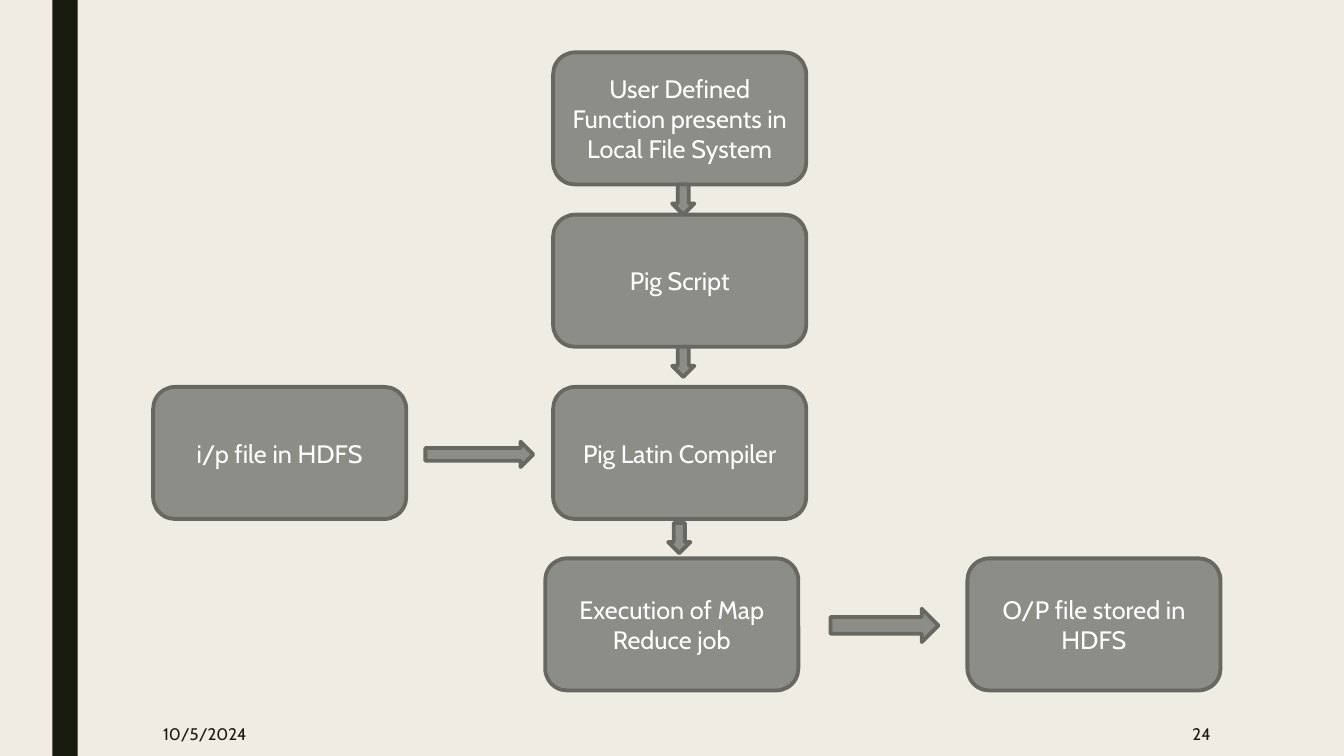
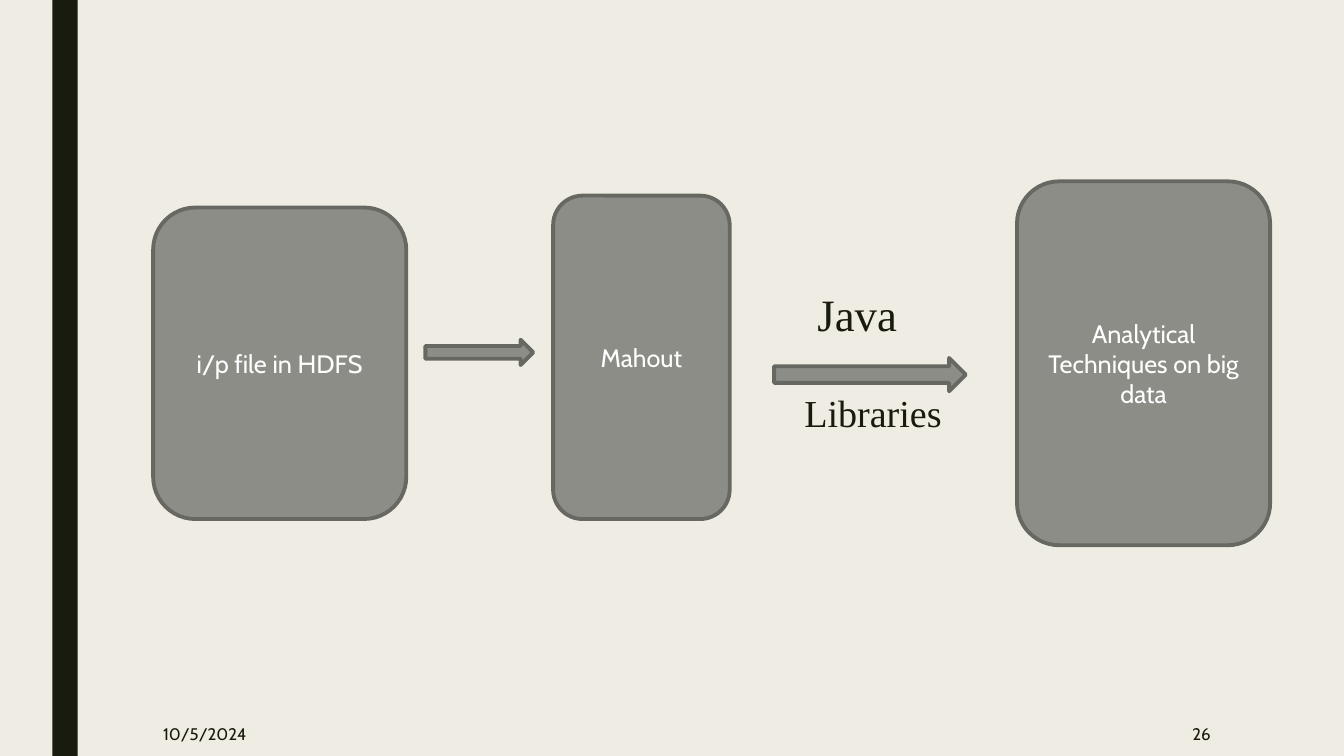
import pptx
import pptx.util
import pptx.dml.color
import pptx.enum.shapes
import pptx.enum.text

Cm = pptx.util.Cm
Pt = pptx.util.Pt
SHAPE = pptx.enum.shapes.MSO_SHAPE
ALIGN = pptx.enum.text.PP_ALIGN
ANCHOR = pptx.enum.text.MSO_ANCHOR

COLORS = {
    "paper": "EFEDE3",
    "ink": "191B0E",
    "box": "8C8D86",
    "edge": "686863",
    "label": "FFFFFF",
}
BODY_FONT = "Cabin"
ACCENT_FONT = "Times New Roman"

INPUT_X, ENGINE_X, EXECUTION_X, OUTPUT_X = 3.86, 13.94, 13.74, 24.38
BOX_W, BOX_H = 6.38, 3.33
UDF_Y, SCRIPT_Y, COMPILER_Y, EXECUTION_Y = 1.32, 5.41, 9.75, 14.07
INPUT_ARROW_X, INPUT_ARROW_W, INPUT_ARROW_H = 10.72, 2.72, 0.64
OUTPUT_ARROW_H = 0.84
DOWN_W, DOWN_H = 0.56, 0.76
FOOTER_Y, FOOTER_H = 17.93, 1.12


def color(name):
    return pptx.dml.color.RGBColor.from_string(COLORS[name])


def apply_format(target, values):
    for name, value in values.items():
        setattr(target, name, value)


def write(frame, text, size, ink, font=BODY_FONT, align=ALIGN.LEFT,
          anchor=ANCHOR.MIDDLE, spacing=1.0):
    apply_format(frame, {"word_wrap": True, "vertical_anchor": anchor})
    paragraph = frame.paragraphs[0]
    apply_format(paragraph, {"alignment": align, "line_spacing": spacing})
    run = paragraph.add_run()
    run.text = text
    apply_format(run.font, {"name": font, "size": Pt(size)})
    run.font.color.rgb = color(ink)


def add_text(slide, text, bounds, size, **style):
    box = slide.shapes.add_textbox(*map(Cm, bounds))
    write(box.text_frame, text, size, "ink", **style)


def add_figure(slide, preset, bounds, fill="box", edge="edge"):
    figure = slide.shapes.add_shape(preset, *map(Cm, bounds))
    figure.shadow.inherit = False
    figure.fill.solid()
    figure.fill.fore_color.rgb = color(fill)
    if edge:
        figure.line.color.rgb = color(edge)
        figure.line.width = Pt(2.75)
    else:
        figure.line.fill.background()
    return figure


def add_step(slide, text, bounds):
    step = add_figure(slide, SHAPE.ROUNDED_RECTANGLE, bounds)
    write(step.text_frame, text, 18, "label", align=ALIGN.CENTER)


def add_flow(slide, steps, right_arrows, down_arrows=()):
    for text, *bounds in steps:
        add_step(slide, text, bounds)
    for bounds in right_arrows:
        add_figure(slide, SHAPE.RIGHT_ARROW, bounds)
    for left, top in down_arrows:
        add_figure(slide, SHAPE.DOWN_ARROW, (left, top, DOWN_W, DOWN_H))


def add_page(deck, number):
    slide = deck.slides.add_slide(deck.slide_layouts[6])
    slide.background.fill.solid()
    slide.background.fill.fore_color.rgb = color("paper")
    add_figure(slide, SHAPE.RECTANGLE, (1.32, 0, 0.64, 19.05), "ink", None)
    add_text(slide, "10/5/2024", (INPUT_X, FOOTER_Y, 3.35, FOOTER_H), 12)
    add_text(slide, number, (26.31, FOOTER_Y, 4.45, FOOTER_H), 12,
             align=ALIGN.RIGHT)
    return slide


def build_pig_flow(deck):
    slide = add_page(deck, "24")
    steps = [
        ("User Defined Function presents in Local File System", ENGINE_X, UDF_Y),
        ("Pig Script", ENGINE_X, SCRIPT_Y),
        ("Pig Latin Compiler", ENGINE_X, COMPILER_Y),
        ("Execution of Map Reduce job", EXECUTION_X, EXECUTION_Y),
        ("i/p file in HDFS", INPUT_X, COMPILER_Y),
        ("O/P file stored in HDFS", OUTPUT_X, EXECUTION_Y),
    ]
    add_flow(
        slide,
        [(*step, BOX_W, BOX_H) for step in steps],
        [(20.93, 15.34, INPUT_ARROW_W, OUTPUT_ARROW_H),
         (INPUT_ARROW_X, 11.13, INPUT_ARROW_W, INPUT_ARROW_H)],
        [(16.94, UDF_Y + BOX_H), (16.94, SCRIPT_Y + BOX_H), (16.84, 13.18)],
    )


def build_mahout_flow(deck):
    slide = add_page(deck, "26")
    add_flow(
        slide,
        [("Mahout", ENGINE_X, 4.93, 4.45, 8.15),
         ("i/p file in HDFS", INPUT_X, 5.23, BOX_W, 7.85),
         ("Analytical Techniques on big data", 25.63, 4.57, BOX_W, 9.17)],
        [(19.51, 9.02, 4.83, OUTPUT_ARROW_H),
         (INPUT_ARROW_X, 8.56, INPUT_ARROW_W, INPUT_ARROW_H)],
    )
    captions = [
        ("Java", (20.35, 7.26, 4.17, 1.93), 32, 0.89),
        ("Libraries", (20.02, 9.93, 4.14, 1.98), 27.2, 0.79),
    ]
    for text, bounds, size, spacing in captions:
        add_text(slide, text, bounds, size, font=ACCENT_FONT,
                 anchor=ANCHOR.TOP, spacing=spacing)


def main():
    deck = pptx.Presentation()
    apply_format(deck, {"slide_width": Cm(33.87), "slide_height": Cm(19.05)})
    build_pig_flow(deck)
    build_mahout_flow(deck)
    deck.save("out.pptx")


if __name__ == "__main__":
    main()
